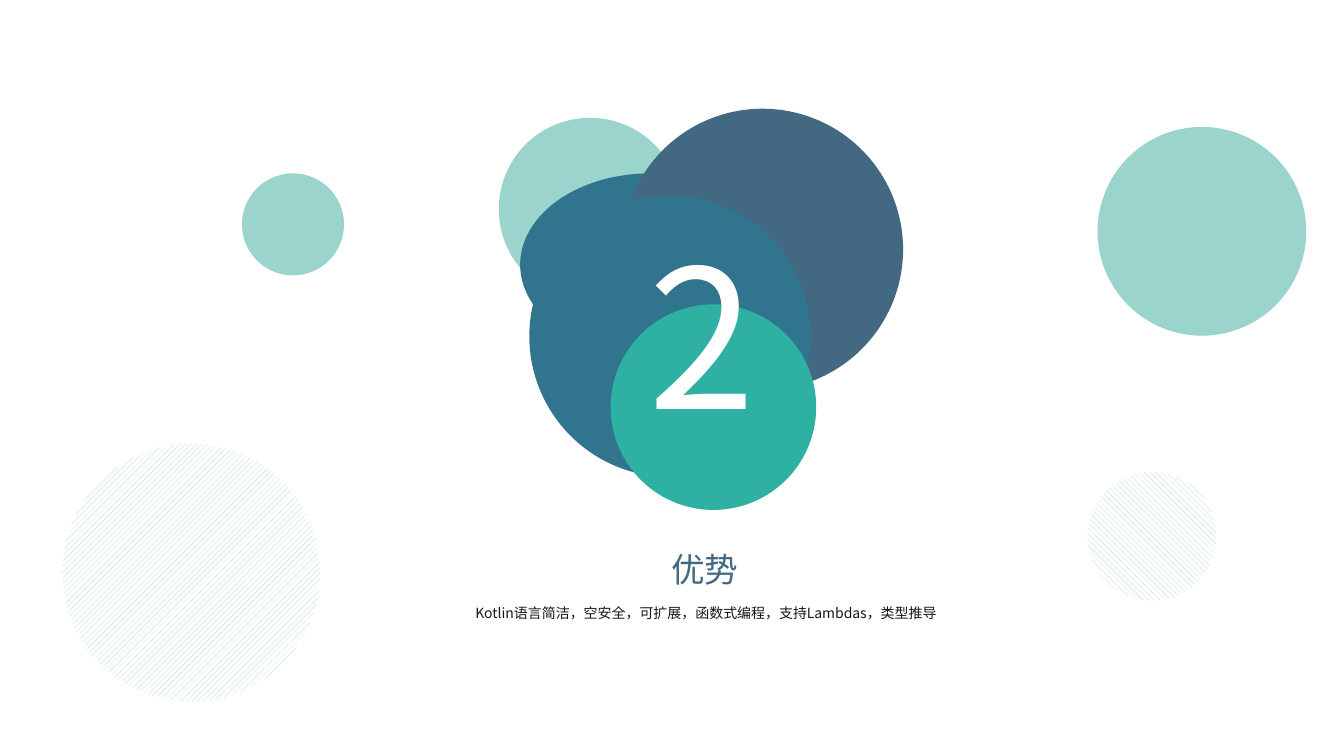
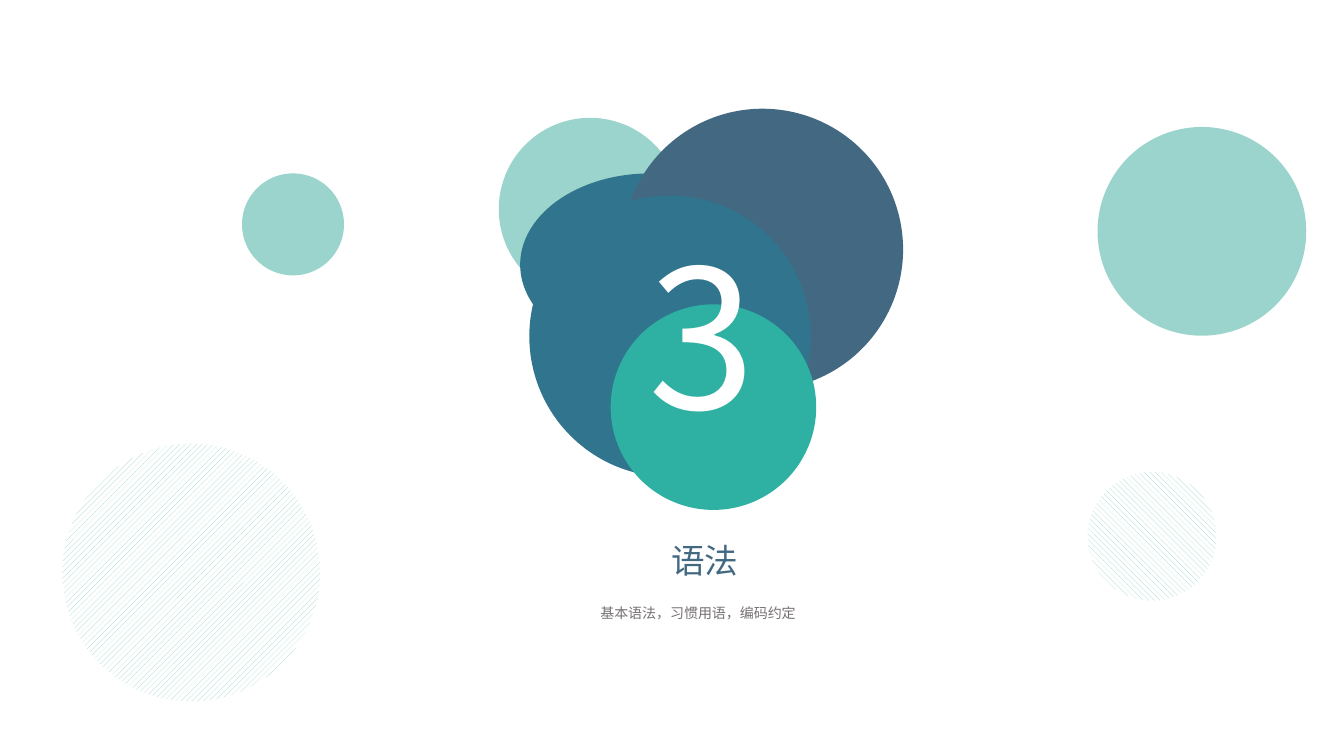
from dataclasses import dataclass
from typing import Optional

from lxml.etree import SubElement
from pptx import Presentation
from pptx.dml.color import RGBColor
from pptx.enum.dml import MSO_PATTERN as Pattern
from pptx.enum.shapes import MSO_SHAPE as Shape
from pptx.enum.text import MSO_AUTO_SIZE as AutoSize, PP_ALIGN as Align
from pptx.oxml.ns import qn
from pptx.util import Cm, Pt

FONT = "Noto Sans CJK SC"
WHITE, MINT, TEAL, GREEN, SLATE = "FFFFFF", "9BD4CC", "30748D", "2EB0A2", "436982"
INK, GREY = "181717", "767171"


@dataclass(frozen=True)
class Bubble:
    left: float
    top: float
    width: float
    color: str = MINT
    height: Optional[float] = None
    pattern: Optional[Pattern] = None


@dataclass(frozen=True)
class Section:
    number: str
    title: str
    title_top: float
    summary: str
    summary_left: float
    summary_color: str


CLUSTER = (
    Bubble(12.57, 2.97, 4.6),
    Bubble(13.11, 4.37, 6.55, TEAL, height=4.6),
    Bubble(15.67, 2.74, 7.09, SLATE),
    Bubble(13.34, 4.93, 7.09, TEAL),
    Bubble(15.39, 7.67, 5.18, GREEN),
)
SCATTERED = (
    Bubble(27.66, 3.2, 5.26),
    Bubble(6.1, 4.37, 2.57),
    Bubble(1.57, 11.18, 6.5, pattern=Pattern.WIDE_UPWARD_DIAGONAL),
    Bubble(27.41, 11.89, 3.25, pattern=Pattern.WIDE_DOWNWARD_DIAGONAL),
)
SECTIONS = (
    Section("2", "优势", 13.72,
            "Kotlin语言简洁，空安全，可扩展，函数式编程，支持Lambdas，类型推导", 11.35, INK),
    Section("3", "语法", 13.51, "基本语法，习惯用语，编码约定", 11.15, GREY),
)


def rgb(color: str) -> RGBColor:
    return RGBColor.from_string(color)


def draw_bubble(shapes, bubble: Bubble) -> None:
    circle = shapes.add_shape(Shape.OVAL, Cm(bubble.left), Cm(bubble.top),
                              Cm(bubble.width), Cm(bubble.height or bubble.width))
    circle.shadow.inherit = False
    circle.line.fill.background()
    if bubble.pattern is None:
        circle.fill.solid()
        circle.fill.fore_color.rgb = rgb(bubble.color)
    else:
        circle.fill.patterned()
        circle.fill.pattern = bubble.pattern
        circle.fill.fore_color.rgb = rgb(bubble.color)
        circle.fill.back_color.rgb = rgb(WHITE)


def draw_text(shapes, text: str, left: float, top: float, width: float, height: float, *,
              size: float, color: str, margin_x: float = 0.25, margin_y: float = 0.13,
              wrap: bool = False, align: Optional[Align] = None,
              line_spacing: Optional[float] = None, space_before: float = 0) -> None:
    frame = shapes.add_textbox(Cm(left), Cm(top), Cm(width), Cm(height)).text_frame
    frame.word_wrap = wrap
    frame.auto_size = AutoSize.SHAPE_TO_FIT_TEXT
    frame.margin_left = frame.margin_right = Cm(margin_x)
    frame.margin_top = frame.margin_bottom = Cm(margin_y)
    paragraph = frame.paragraphs[0]
    paragraph.alignment = align
    paragraph.line_spacing = line_spacing
    paragraph.space_before = Pt(space_before)
    run = paragraph.add_run()
    run.text = text
    run.font.size = Pt(size)
    run.font.name = FONT
    run.font.color.rgb = rgb(color)
    SubElement(run._r.get_or_add_rPr(), qn("a:ea"), typeface=FONT)


def draw_section(deck, section: Section) -> None:
    shapes = deck.slides.add_slide(deck.slide_layouts[6]).shapes
    for bubble in SCATTERED:
        draw_bubble(shapes, bubble)
    cluster = shapes.add_group_shape()
    for bubble in CLUSTER:
        draw_bubble(cluster.shapes, bubble)
    draw_text(shapes, section.number, 16.1, 5.33, 3.4, 6.15, size=138, color=WHITE)
    draw_text(shapes, section.title, 16.74, section.title_top, 2.08, 1.22,
              size=24, color=SLATE, margin_x=0.18, margin_y=0.1)
    draw_text(shapes, section.summary, section.summary_left, 15.14, 12.88, 0.46,
              size=10, color=section.summary_color, margin_x=0, margin_y=0, wrap=True,
              align=Align.CENTER, line_spacing=1.2, space_before=2)


def main() -> None:
    """Build the section divider slides and save them."""
    deck = Presentation()
    deck.slide_width, deck.slide_height = Cm(33.87), Cm(19.05)
    for section in SECTIONS:
        draw_section(deck, section)
    deck.save("out.pptx")


if __name__ == "__main__":
    main()
